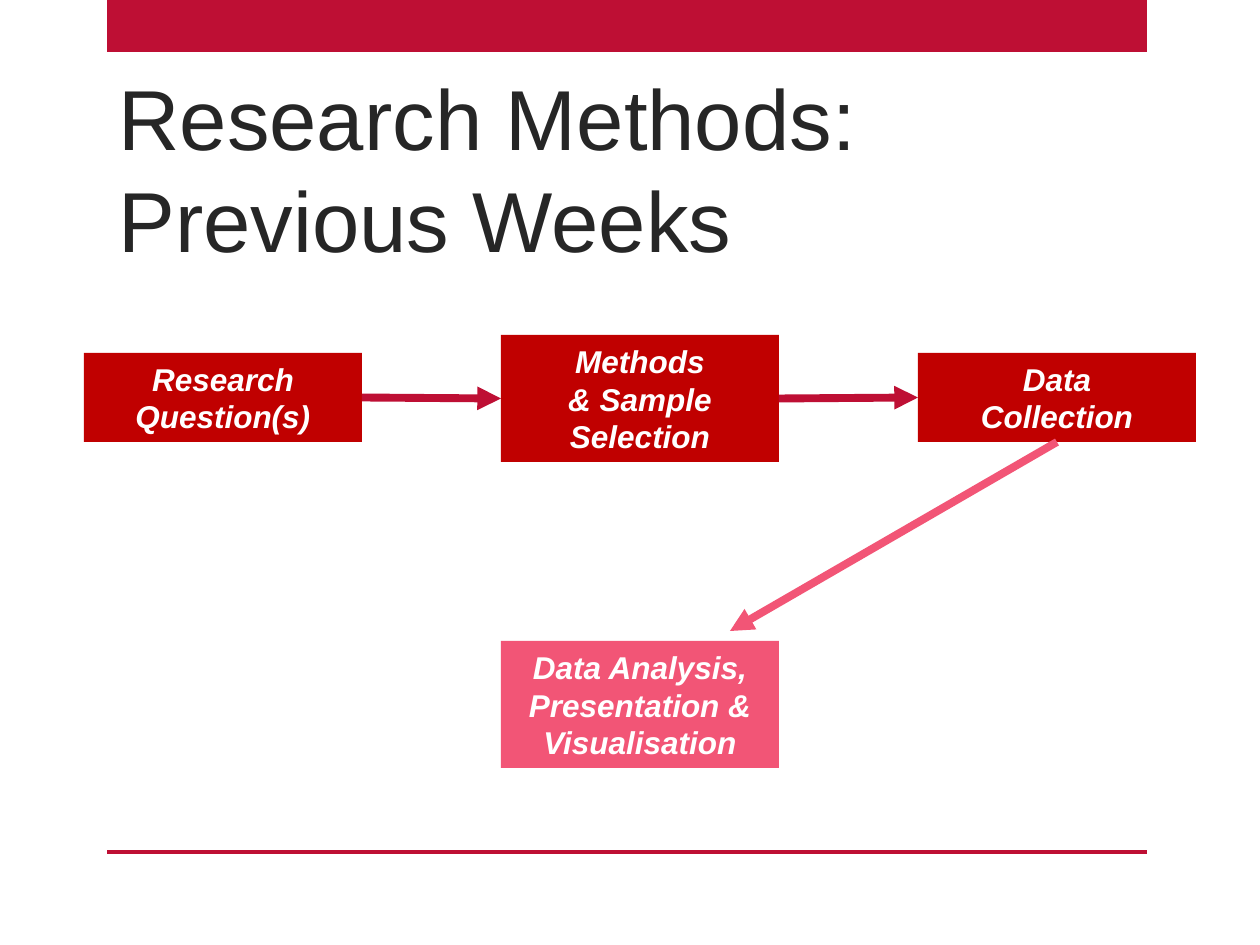
from lxml import etree
from pptx import Presentation
from pptx.dml.color import RGBColor
from pptx.enum.shapes import MSO_CONNECTOR, MSO_SHAPE
from pptx.enum.text import MSO_ANCHOR, PP_ALIGN
from pptx.oxml.ns import qn
from pptx.util import Pt

RECTANGLE = MSO_SHAPE.RECTANGLE
STRAIGHT = MSO_CONNECTOR.STRAIGHT
MIDDLE = MSO_ANCHOR.MIDDLE
BOTTOM = MSO_ANCHOR.BOTTOM
CENTER = PP_ALIGN.CENTER
LEFT = PP_ALIGN.LEFT

EMU_PER_PX = 914400 / 126
COLORS = {
    "crimson": "BE0F34",
    "red": "C00000",
    "pink": "F25576",
    "title": "262626",
    "white": "FFFFFF",
}
TITLE_FONT = {"name": "Arial", "size": Pt(48.6)}
BOX_FONT = {"name": "Arial", "size": Pt(18), "bold": True, "italic": True}


def px(*lengths):
    return [round(length * EMU_PER_PX) for length in lengths]


def write(frame, lines, font_values, color, alignment):
    frame.word_wrap = True
    for index, line in enumerate(lines):
        paragraph = frame.add_paragraph() if index else frame.paragraphs[0]
        paragraph.text = line
        paragraph.alignment = alignment
        for run in paragraph.runs:
            run.font.color.rgb = RGBColor.from_string(COLORS[color])
            for name, value in font_values.items():
                setattr(run.font, name, value)


presentation = Presentation()
presentation.slide_width, presentation.slide_height = px(1260, 945)
slide = presentation.slides.add_slide(presentation.slide_layouts[6])

rectangles = [
    ("top band", (107, 0, 1040, 52), "crimson", []),
    ("bottom rule", (107, 850, 1040, 4), "crimson", []),
    ("question", (84, 353, 278, 89), "red", ["Research", "Question(s)"]),
    ("methods", (501, 335, 278, 127), "red", ["Methods", "& Sample Selection"]),
    ("collection", (918, 353, 278, 89), "red", ["Data", "Collection"]),
    ("analysis", (501, 641, 278, 127), "pink",
     ["Data Analysis,", "Presentation &", "Visualisation"]),
]
shapes = {}
for name, bounds, color, lines in rectangles:
    shape = slide.shapes.add_shape(RECTANGLE, *px(*bounds))
    shape.shadow.inherit = False
    shape.fill.solid()
    shape.fill.fore_color.rgb = RGBColor.from_string(COLORS[color])
    shape.line.fill.background()
    if lines:
        shape.text_frame.vertical_anchor = MIDDLE
        write(shape.text_frame, lines, BOX_FONT, "white", CENTER)
    shapes[name] = shape

title = slide.shapes.add_textbox(*px(106, 55, 935, 221))
title.text_frame.vertical_anchor = BOTTOM
write(title.text_frame, ["Research Methods:\vPrevious Weeks"], TITLE_FONT, "title", LEFT)

arrows = [
    ("question", 3, "methods", (501, 399), "crimson"),
    ("methods", 3, "collection", (918, 398), "crimson"),
    ("collection", 2, None, (730, 631), "pink"),
]
for source, side, target, end, color in arrows:
    arrow = slide.shapes.add_connector(STRAIGHT, 0, 0, *px(*end))
    arrow.begin_connect(shapes[source], side)
    if target:
        arrow.end_connect(shapes[target], 1)
    arrow.line.color.rgb = RGBColor.from_string(COLORS[color])
    arrow.line.width = Pt(4.5)
    properties = arrow._element.spPr
    etree.SubElement(properties.find(qn("a:ln")), qn("a:tailEnd"), type="triangle")
    etree.SubElement(properties, qn("a:effectLst"))

presentation.save("out.pptx")
